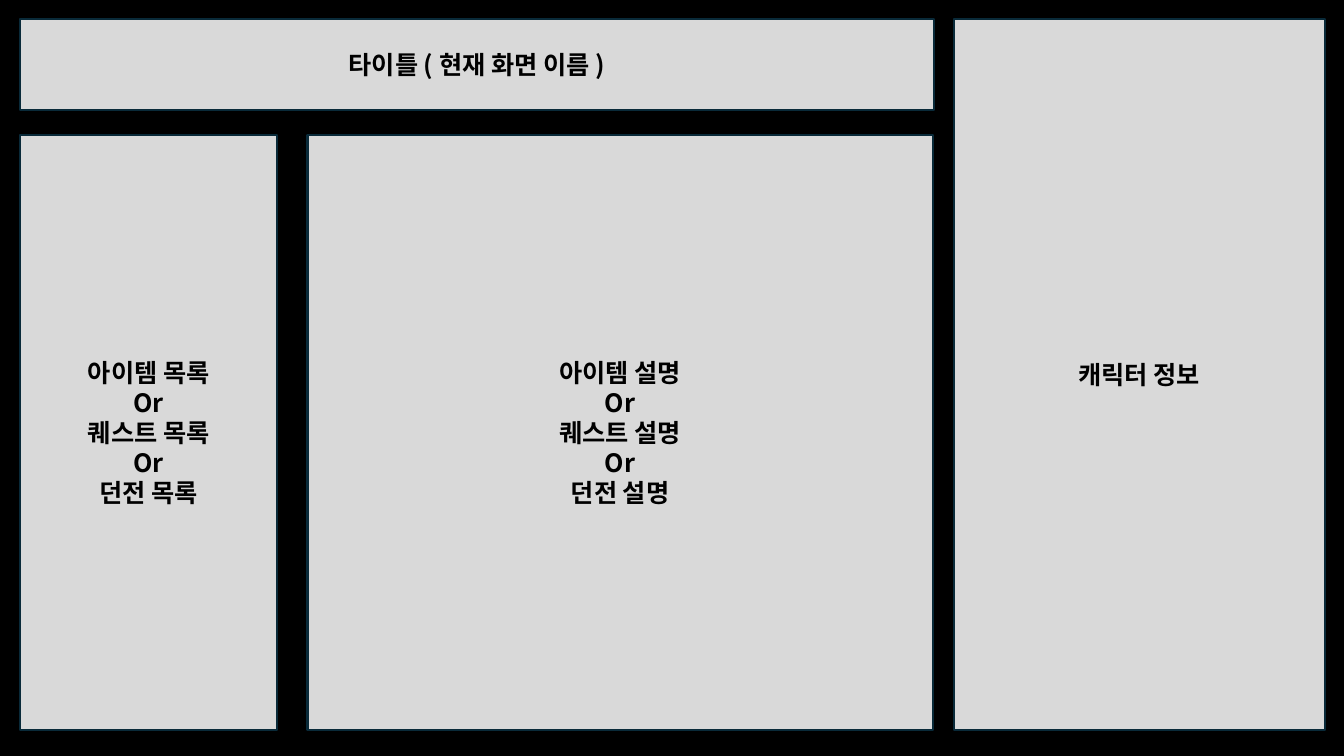
from pptx import Presentation
from pptx.dml.color import RGBColor
from pptx.enum.shapes import MSO_SHAPE
from pptx.enum.text import MSO_ANCHOR, PP_ALIGN
from pptx.oxml.ns import qn
from pptx.util import Inches, Pt

RECT = MSO_SHAPE.RECTANGLE
MIDDLE = MSO_ANCHOR.MIDDLE
CENTER = PP_ALIGN.CENTER
FONT = "Noto Sans CJK KR"
COLORS = {"back": "000000", "panel": "D9D9D9", "edge": "092A39", "text": "000000"}
TITLE_ONLY = 5


def color(name):
    return RGBColor.from_string(COLORS[name])


def write(shape, lines, size=18, bold=True, ink="text"):
    """Fill the shape with one centred paragraph per line."""
    frame = shape.text_frame
    frame.word_wrap = True
    frame.vertical_anchor = MIDDLE
    for i, line in enumerate(lines):
        para = frame.paragraphs[0] if i == 0 else frame.add_paragraph()
        para.alignment = CENTER
        run = para.add_run()
        run.text = line
        font = run.font
        font.name, font.size, font.bold = FONT, Pt(size), bold
        font.color.rgb = color(ink)
        east = font._element.makeelement(qn("a:ea"), {"typeface": FONT})
        font._element.find(qn("a:latin")).addnext(east)


def paint(shape, lines):
    """Give a region its fill, edge and label."""
    shape.shadow.inherit = False
    shape.fill.solid()
    shape.fill.fore_color.rgb = color("panel")
    shape.line.color.rgb = color("edge")
    shape.line.width = Pt(1.5)
    write(shape, lines)


def title(slide, box, text):
    shape = slide.shapes.title
    shape.left, shape.top, shape.width, shape.height = map(Inches, box)
    paint(shape, [text])


def panel(slide, box, lines):
    paint(slide.shapes.add_shape(RECT, *map(Inches, box)), lines)


def choices(kind):
    """List the item, quest and dungeon labels, parted by Or."""
    return [f"아이템 {kind}", "Or", f"퀘스트 {kind}", "Or", f"던전 {kind}"]


def main():
    deck = Presentation()
    deck.slide_width, deck.slide_height = Inches(13.33), Inches(7.5)
    slide = deck.slides.add_slide(deck.slide_layouts[TITLE_ONLY])
    slide.background.fill.solid()
    slide.background.fill.fore_color.rgb = color("back")

    left, top, low, end = 0.2, 0.19, 1.34, 7.24
    title(slide, (left, top, 9.06, 0.9), "타이틀 ( 현재 화면 이름 )")
    panel(slide, (left, low, 2.55, end - low), choices("목록"))
    panel(slide, (9.46, top, 3.68, end - top), ["캐릭터 정보"])
    panel(slide, (3.05, low, 6.2, end - low), choices("설명"))
    deck.save("out.pptx")


if __name__ == "__main__":
    main()
